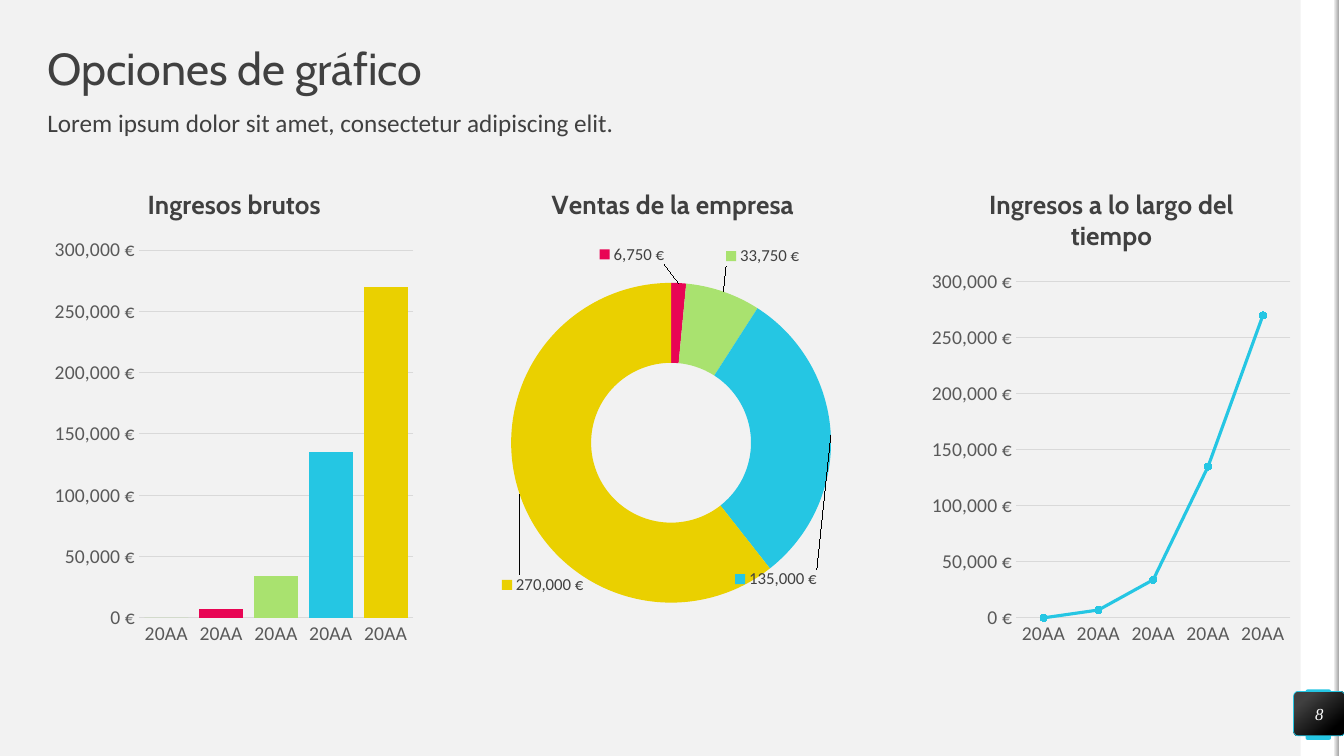
from lxml import etree
from pptx import Presentation
from pptx.chart.data import CategoryChartData
from pptx.dml.color import RGBColor
from pptx.enum.chart import XL_CHART_TYPE, XL_MARKER_STYLE, XL_TICK_MARK
from pptx.enum.shapes import MSO_SHAPE
from pptx.enum.text import MSO_ANCHOR, MSO_AUTO_SIZE, PP_ALIGN
from pptx.oxml import parse_xml
from pptx.oxml.ns import nsdecls, qn
from pptx.util import Inches, Pt

COLUMN = XL_CHART_TYPE.COLUMN_CLUSTERED
DOUGHNUT = XL_CHART_TYPE.DOUGHNUT
LINE = XL_CHART_TYPE.LINE_MARKERS_STACKED
CIRCLE = XL_MARKER_STYLE.CIRCLE
NO_TICK = XL_TICK_MARK.NONE
RECTANGLE, ROUNDED = MSO_SHAPE.RECTANGLE, MSO_SHAPE.ROUNDED_RECTANGLE
LEFT, CENTER = PP_ALIGN.LEFT, PP_ALIGN.CENTER
TOP, MIDDLE = MSO_ANCHOR.TOP, MSO_ANCHOR.MIDDLE
NO_FIT = MSO_AUTO_SIZE.NONE

CYAN, GREEN, RED, YELLOW = "25C6E3", "A9E26F", "E80554", "EAD000"
DARK, GRAY, GRID, WHITE, PALE = "404040", "595959", "D9D9D9", "FFFFFF", "F2F2F2"
POINT_COLORS = [GREEN, RED, GREEN, CYAN, YELLOW]
YEARS = ["20AA"] * 5
INCOME = [0, 7000, 34000, 135000, 270000]
SALES = [0, 6750, 33750, 135000, 270000]
LABEL_SHIFTS = [(-0.12, -0.14), (0.14, -0.15), (-0.04, 0.29), (-0.04, 0.21)]


def color(value):
    """Turn a hex string into a colour."""
    return RGBColor.from_string(value)


def style_font(font, name, size, value, bold=False, italic=False):
    """Set the face, size, colour and weight of a font."""
    font.name, font.size, font.bold, font.italic = name, Pt(size), bold, italic
    font.color.rgb = color(value)


def paint(fill, value):
    """Fill with one colour."""
    fill.solid()
    fill.fore_color.rgb = color(value)


def paint_gradient(fill, stops, angle):
    """Fill with a two-stop linear gradient."""
    fill.gradient()
    fill.gradient_angle = angle
    for stop, (position, value) in zip(fill.gradient_stops, stops):
        stop.position = position
        stop.color.rgb = color(value)


def set_text(shape, text, anchor, align):
    """Write one paragraph without insets and return its run font."""
    frame = shape.text_frame
    frame.text = text
    frame.auto_size, frame.word_wrap, frame.vertical_anchor = NO_FIT, True, anchor
    frame.margin_left = frame.margin_top = frame.margin_right = frame.margin_bottom = 0
    frame.paragraphs[0].alignment = align
    return frame.paragraphs[0].runs[0].font


def place(shape, box):
    """Move a shape to a box given in inches."""
    shape.left, shape.top, shape.width, shape.height = map(Inches, box)


def add_box(page, kind, box, value=None, corner=None):
    """Add a plain shape without outline or shadow."""
    shape = page.shapes.add_shape(kind, *map(Inches, box))
    shape.shadow.inherit = False
    shape.line.fill.background()
    if value:
        paint(shape.fill, value)
    if corner:
        shape.adjustments[0] = corner
    return shape


def add_side_band(page, left, height):
    """Draw the white band, its shaded edge and the tab behind the number."""
    add_box(page, RECTANGLE, (left, 0, 0.39, height), WHITE)
    add_box(page, ROUNDED, (left + 0.05, height - 0.66, 0.25, 0.5), CYAN, 0.07)
    add_box(page, RECTANGLE, (left + 0.38, 0, 0.05, height), WHITE)
    edge = add_box(page, RECTANGLE, (left + 0.33, 0, 0.05, height))
    paint_gradient(edge.fill, [(0, PALE), (1, "A6A6A6")], 0)


def add_page_number(page, box, number):
    """Draw the dark badge with the page number."""
    badge = add_box(page, ROUNDED, box, corner=0.1)
    paint_gradient(badge.fill, [(0.2, DARK), (0.82, "000000")], 310)
    badge.line.color.rgb = color(CYAN)
    badge.line.width = Pt(0.5)
    font = set_text(badge, number, MIDDLE, CENTER)
    style_font(font, "Times New Roman", 12, WHITE, italic=True)


def add_heading(page, left, top, title, subtitle):
    """Fill the title and body placeholders at the head of the page."""
    heading, body = page.shapes.title, page.placeholders[1]
    place(heading, (left, top, 12.39, 0.47))
    place(body, (left, top + 0.63, 12.4, 0.39))
    style_font(set_text(heading, title, MIDDLE, LEFT), "Cabin", 32, DARK)
    style_font(set_text(body, subtitle, TOP, LEFT), "Calibri", 18, DARK)
    for shape in (heading, body):
        shape.text_frame.paragraphs[0].line_spacing = 0.9
    para = body.text_frame.paragraphs[0]
    para.space_before = Pt(10)
    properties = para._p.get_or_add_pPr()
    properties.set("marL", "0")
    properties.set("indent", "0")
    etree.SubElement(properties, qn("a:buNone"))


def layout_xml(x, y, size=None):
    """Build a manual chart layout from fractions of the chart."""
    parts = [("x", x), ("y", y)]
    if size:
        parts = [("layoutTarget", "inner"), ("xMode", "edge"), ("yMode", "edge")] + parts
        parts += [("w", size[0]), ("h", size[1])]
    inner = "".join(f'<c:{tag} val="{value}"/>' for tag, value in parts)
    return parse_xml(f'<c:layout {nsdecls("c")}><c:manualLayout>{inner}</c:manualLayout></c:layout>')


def add_chart(page, box, kind, title, categories, values, area):
    """Add a titled chart with one series in a fixed plot area."""
    data = CategoryChartData()
    data.categories = categories
    data.add_series("Series 1", values)
    chart = page.shapes.add_chart(kind, *map(Inches, box), data).chart
    style_font(chart.font, "Calibri", 10, "000000")
    chart.has_legend = False
    frame = chart.chart_title.text_frame
    frame.text = title
    style_font(frame.paragraphs[0].runs[0].font, "Cabin", 18.6, DARK, bold=True)
    chart.chart_title.include_in_layout = False
    plot_area = chart._chartSpace.chart.plotArea
    for old in plot_area.findall(qn("c:layout")):
        plot_area.remove(old)
    plot_area.insert(0, layout_xml(*area))
    return chart


def style_axes(chart):
    """Format the year axis and the euro axis."""
    for axis in (chart.category_axis, chart.value_axis):
        axis.major_tick_mark = axis.minor_tick_mark = NO_TICK
        style_font(axis.tick_labels.font, "Calibri", 14, GRAY)
    scale = chart.value_axis
    scale.minimum_scale, scale.maximum_scale, scale.major_unit = 0, 300000, 50000
    scale.tick_labels.number_format = "#,##0\\ [$€-C0A]"
    scale.tick_labels.number_format_is_linked = False
    scale.format.line.fill.background()
    for line in (chart.category_axis.format.line, scale.major_gridlines.format.line):
        line.color.rgb = color(GRID)
        line.width = Pt(0.75)


def paint_points(series):
    """Give each point its own colour."""
    for index, value in enumerate(POINT_COLORS):
        paint(series.points[index].format.fill, value)


def add_income_columns(page, box):
    """Add the column chart of gross income."""
    chart = add_chart(page, box, COLUMN, "Ingresos brutos", YEARS, INCOME,
                      (0.245, 0.171, (0.733, 0.751)))
    style_axes(chart)
    chart.plots[0].gap_width = 25
    chart.plots[0].vary_by_categories = False
    paint_points(chart.plots[0].series[0])


def add_sales_ring(page, box):
    """Add the doughnut of company sales with shifted labels."""
    chart = add_chart(page, box, DOUGHNUT, "Ventas de la empresa", list("12345"), SALES,
                      (0.067, 0.238, (0.856, 0.653)))
    plot = chart.plots[0]
    plot._element.find(qn("c:holeSize")).set("val", "84")
    series = plot.series[0]
    paint_points(series)
    labels = series.data_labels
    labels.show_value = labels.show_legend_key = True
    labels.show_percentage = False
    labels.number_format, labels.number_format_is_linked = '#,##0\\ "€"', False
    style_font(labels.font, "Calibri", 12, DARK)
    flags = [("showLegendKey", 1), ("showVal", 1), ("showCatName", 0),
             ("showSerName", 0), ("showPercent", 0), ("showBubbleSize", 0)]
    hidden = parse_xml(f'<c:dLbl {nsdecls("c")}><c:idx val="0"/><c:delete val="1"/></c:dLbl>')
    labels._element.insert(0, hidden)
    for index, shift in enumerate(LABEL_SHIFTS, 1):
        label = parse_xml(f'<c:dLbl {nsdecls("c")}><c:idx val="{index}"/></c:dLbl>')
        label.append(layout_xml(*shift))
        for tag, value in flags:
            etree.SubElement(label, qn(f"c:{tag}")).set("val", str(value))
        labels._element.insert(index, label)


def add_income_line(page, box):
    """Add the line chart of income over time."""
    chart = add_chart(page, box, LINE, "Ingresos a lo largo del tiempo", YEARS, INCOME,
                      (0.245, 0.236, (0.733, 0.686)))
    style_axes(chart)
    chart.plots[0].vary_by_categories = False
    series = chart.plots[0].series[0]
    series.smooth = False
    series.format.line.color.rgb = color(CYAN)
    series.format.line.width = Pt(2.25)
    series.marker.style, series.marker.size = CIRCLE, 5
    paint(series.marker.format.fill, CYAN)
    series.marker.format.line.color.rgb = color(CYAN)


def main():
    """Build the slide and save the deck."""
    deck = Presentation()
    deck.slide_width, deck.slide_height = Inches(13.33), Inches(7.5)
    page = deck.slides.add_slide(deck.slide_layouts[1])
    paint(page.background.fill, PALE)
    add_side_band(page, 12.9, 7.5)
    add_heading(page, 0.47, 0.47, "Opciones de gráfico",
                "Lorem ipsum dolor sit amet, consectetur adipiscing elit.")
    for add, left in ((add_income_columns, 0.47), (add_sales_ring, 4.82), (add_income_line, 9.17)):
        add(page, (left, 1.65, 3.71, 4.86))
    add_page_number(page, (12.83, 6.86, 0.51, 0.44), "8")
    deck.save("out.pptx")


if __name__ == "__main__":
    main()
